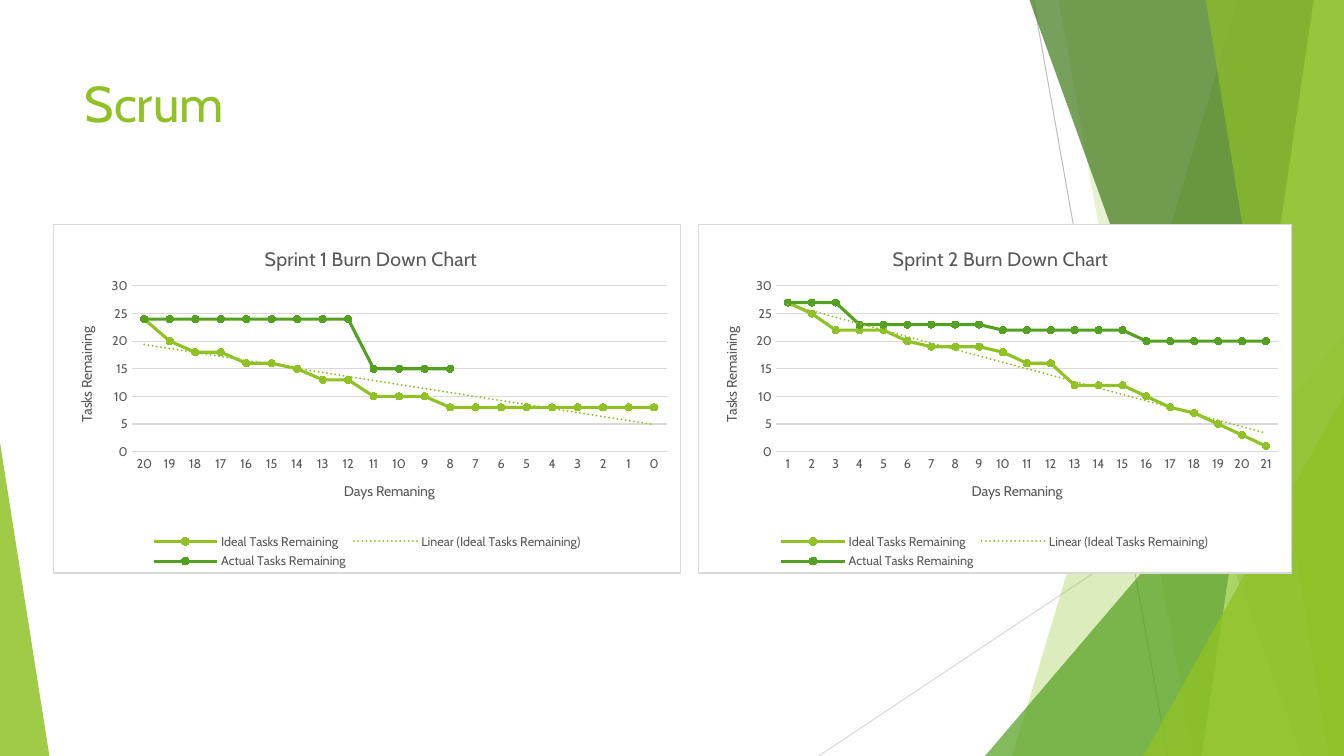
from lxml import etree
from pptx import Presentation
from pptx.chart.data import CategoryChartData
from pptx.dml.color import RGBColor
from pptx.enum.chart import XL_CHART_TYPE, XL_LEGEND_POSITION, XL_MARKER_STYLE, XL_TICK_MARK
from pptx.enum.shapes import MSO_CONNECTOR, MSO_SHAPE
from pptx.enum.text import MSO_ANCHOR, PP_ALIGN
from pptx.oxml import parse_xml
from pptx.oxml.ns import nsdecls, qn
from pptx.util import Inches, Pt

LINE_MARKERS = XL_CHART_TYPE.LINE_MARKERS
CIRCLE = XL_MARKER_STYLE.CIRCLE
NO_TICK = XL_TICK_MARK.NONE
STRAIGHT = MSO_CONNECTOR.STRAIGHT
TRIANGLE = MSO_SHAPE.ISOSCELES_TRIANGLE

FONT = "Cabin"
COLORS = {
    "lime": "90C226", "green": "54A021", "forest": "3F7819", "pale": "C0E474",
    "text": "595959", "rule": "D9D9D9", "edge": "BFBFBF", "white": "FFFFFF",
}
WIDTH, HEIGHT = 13.33, 7.5
CHART_TOP, CHART_HEIGHT = 2.22, 3.47
TITLE_WIDTH = 2.1

# x of the top left, top right, bottom right and bottom left corners
BANDS = {
    "wide": ((12.28, WIDTH, WIDTH, 10.04), "lime", 30),
    "slanted": ((10.5, WIDTH, WIDTH, 11.83), "lime", 20),
    "dark": ((10.21, WIDTH, WIDTH, 12.91), "forest", 70),
    "light": ((13.03, WIDTH, WIDTH, 11.92), "pale", 70),
    "narrow": ((11.96, WIDTH, WIDTH, 13.18), "lime", 65),
}
SPRINT_1 = {
    "Ideal Tasks Remaining": [24, 20, 18, 18, 16, 16, 15, 13, 13] + [10] * 3 + [8] * 9,
    "Actual Tasks Remaining": [24] * 9 + [15] * 4,
}
SPRINT_2 = {
    "Ideal Tasks Remaining": [27, 25, 22, 22, 22, 20, 19, 19, 19, 18, 16, 16,
                              12, 12, 12, 10, 8, 7, 5, 3, 1],
    "Actual Tasks Remaining": [27] * 3 + [23] * 6 + [22] * 6 + [20] * 6,
}


def rgb(name):
    return RGBColor.from_string(COLORS[name])


def set_font(font, size, color):
    font.name = FONT
    font.size = Pt(size)
    font.bold = False
    font.color.rgb = rgb(color)


def set_line(line, color, width):
    line.color.rgb = rgb(color)
    line.width = Pt(width)


def paint(shape, color, opacity):
    """Give a borderless shape a partly transparent fill."""
    shape.shadow.inherit = False
    shape.line.fill.background()
    shape.fill.solid()
    shape.fill.fore_color.rgb = rgb(color)
    srgb = shape.fill._xPr.find(qn("a:solidFill")).find(qn("a:srgbClr"))
    etree.SubElement(srgb, qn("a:alpha"), val=str(opacity * 1000))


def add_band(slide, corners, color, opacity):
    points = [(Inches(x), Inches(y)) for x, y in zip(corners, (0, 0, HEIGHT, HEIGHT))]
    builder = slide.shapes.build_freeform(*points[0])
    builder.add_line_segments(points[1:], close=True)
    paint(builder.convert_to_shape(), color, opacity)


def add_triangle(slide, left, top, width, apex, color, opacity):
    """Add a triangle that stands on the bottom edge of the slide."""
    shape = slide.shapes.add_shape(
        TRIANGLE, Inches(left), Inches(top), Inches(width), Inches(HEIGHT - top))
    shape.adjustments[0] = apex
    paint(shape, color, opacity)


def add_line(slide, start, end, color):
    ends = [Inches(value) for value in start + end]
    connector = slide.shapes.add_connector(STRAIGHT, *ends)
    set_line(connector.line, color, 0.75)
    etree.SubElement(connector._element.spPr, qn("a:effectLst"))


def add_facets(slide):
    add_line(slide, (10.25, 0), (11.58, HEIGHT), "edge")
    add_line(slide, (WIDTH, 4.03), (8.12, HEIGHT), "rule")
    add_band(slide, *BANDS["wide"])
    add_band(slide, *BANDS["slanted"])
    add_triangle(slide, 9.77, 3.33, 3.56, 1, "green", 72)
    for name in ("dark", "light", "narrow"):
        add_band(slide, *BANDS[name])
    add_triangle(slide, 11.34, 3.93, 1.99, 1, "lime", 80)
    add_triangle(slide, 0, 4.39, 0.49, 0, "lime", 85)


def set_title(slide, text):
    title = slide.shapes.title
    title.left, title.top = Inches(0.74), Inches(0.67)
    title.width, title.height = Inches(9.4), Inches(1.44)
    frame = title.text_frame
    frame.vertical_anchor = MSO_ANCHOR.TOP
    paragraph = frame.paragraphs[0]
    paragraph.alignment = PP_ALIGN.LEFT
    run = paragraph.add_run()
    run.text = text
    set_font(run.font, 36, "lime")


def set_text(frame, text, size):
    run = frame.paragraphs[0].add_run()
    run.text = text
    set_font(run.font, size, "text")


def set_layout(parent, index, target="", **fractions):
    """Place a chart part by fractions of the chart's size."""
    for layout in parent.findall(qn("c:layout")):
        parent.remove(layout)
    modes = "".join(f'<c:{axis}Mode val="edge"/>' for axis in "xy")
    sizes = "".join(f'<c:{key} val="{value:.3f}"/>' for key, value in fractions.items())
    parent.insert(index, parse_xml(
        f'<c:layout {nsdecls("c")}><c:manualLayout>{target}{modes}{sizes}'
        '</c:manualLayout></c:layout>'))


def add_trend(series, color):
    series._element.find(qn("c:cat")).addprevious(parse_xml(
        f'<c:trendline {nsdecls("c", "a")}><c:spPr><a:ln w="19050" cap="rnd"><a:solidFill>'
        f'<a:srgbClr val="{COLORS[color]}"/></a:solidFill><a:prstDash val="sysDot"/></a:ln>'
        '</c:spPr><c:trendlineType val="linear"/><c:dispRSqr val="0"/>'
        '<c:dispEq val="0"/></c:trendline>'))


def frame_chart(chart):
    """Give the chart area a white fill, a thin border and square corners."""
    space = chart._chartSpace
    space.find(qn("c:chart")).addnext(parse_xml(
        f'<c:spPr {nsdecls("c", "a")}><a:solidFill><a:srgbClr val="{COLORS["white"]}"/>'
        f'</a:solidFill><a:ln w="9525"><a:solidFill><a:srgbClr val="{COLORS["rule"]}"/>'
        '</a:solidFill></a:ln></c:spPr>'))
    if space.find(qn("c:roundedCorners")) is None:
        space.find(qn("c:date1904")).addnext(
            parse_xml(f'<c:roundedCorners {nsdecls("c")} val="0"/>'))


def style_axis(axis, title):
    set_text(axis.axis_title.text_frame, title, 10)
    axis.major_tick_mark = axis.minor_tick_mark = NO_TICK
    set_font(axis.tick_labels.font, 9, "text")


def style_axes(chart):
    days, tasks = chart.category_axis, chart.value_axis
    style_axis(days, "Days Remaning")
    style_axis(tasks, "Tasks Remaining")
    set_line(days.format.line, "rule", 0.75)
    tasks.format.line.fill.background()
    tasks.minimum_scale, tasks.maximum_scale, tasks.major_unit = 0, 30, 5
    set_line(tasks.major_gridlines.format.line, "rule", 0.75)


def style_series(series, color):
    series.smooth = False
    set_line(series.format.line, color, 2.25)
    marker = series.marker
    marker.style, marker.size = CIRCLE, 5
    marker.format.fill.solid()
    marker.format.fill.fore_color.rgb = rgb(color)
    set_line(marker.format.line, color, 0.75)


def add_burn_down(slide, title, left, width, days, tasks):
    data = CategoryChartData()
    data.categories = [str(day) for day in days]
    for name, values in tasks.items():
        data.add_series(name, values)
    chart = slide.shapes.add_chart(
        LINE_MARKERS, Inches(left), Inches(CHART_TOP), Inches(width),
        Inches(CHART_HEIGHT), data).chart
    set_font(chart.font, 10, "text")
    frame_chart(chart)
    set_text(chart.chart_title.text_frame, title, 14)
    set_layout(chart.chart_title._element, 1, x=(width - TITLE_WIDTH) / 2 / width, y=0.05)
    style_axes(chart)
    set_layout(chart._chartSpace.chart.plotArea, 0, '<c:layoutTarget val="inner"/>',
               x=0.77 / width, y=0.177, w=(width - 0.9) / width, h=0.475)
    chart.plots[0].vary_by_categories = False
    for series, color in zip(chart.plots[0].series, ("lime", "green")):
        style_series(series, color)
    add_trend(chart.plots[0].series[0], "lime")
    chart.has_legend = True
    chart.legend.position = XL_LEGEND_POSITION.BOTTOM
    chart.legend.include_in_layout = False
    set_font(chart.legend.font, 9, "text")


def main():
    presentation = Presentation()
    presentation.slide_width, presentation.slide_height = Inches(WIDTH), Inches(HEIGHT)
    slide = presentation.slides.add_slide(presentation.slide_layouts[5])
    add_facets(slide)
    set_title(slide, "Scrum")
    add_burn_down(slide, "Sprint 1 Burn Down Chart", 0.53, 6.22, range(20, -1, -1), SPRINT_1)
    add_burn_down(slide, "Sprint 2 Burn Down Chart", 6.92, 5.89, range(1, 22), SPRINT_2)
    presentation.save("out.pptx")


if __name__ == "__main__":
    main()
